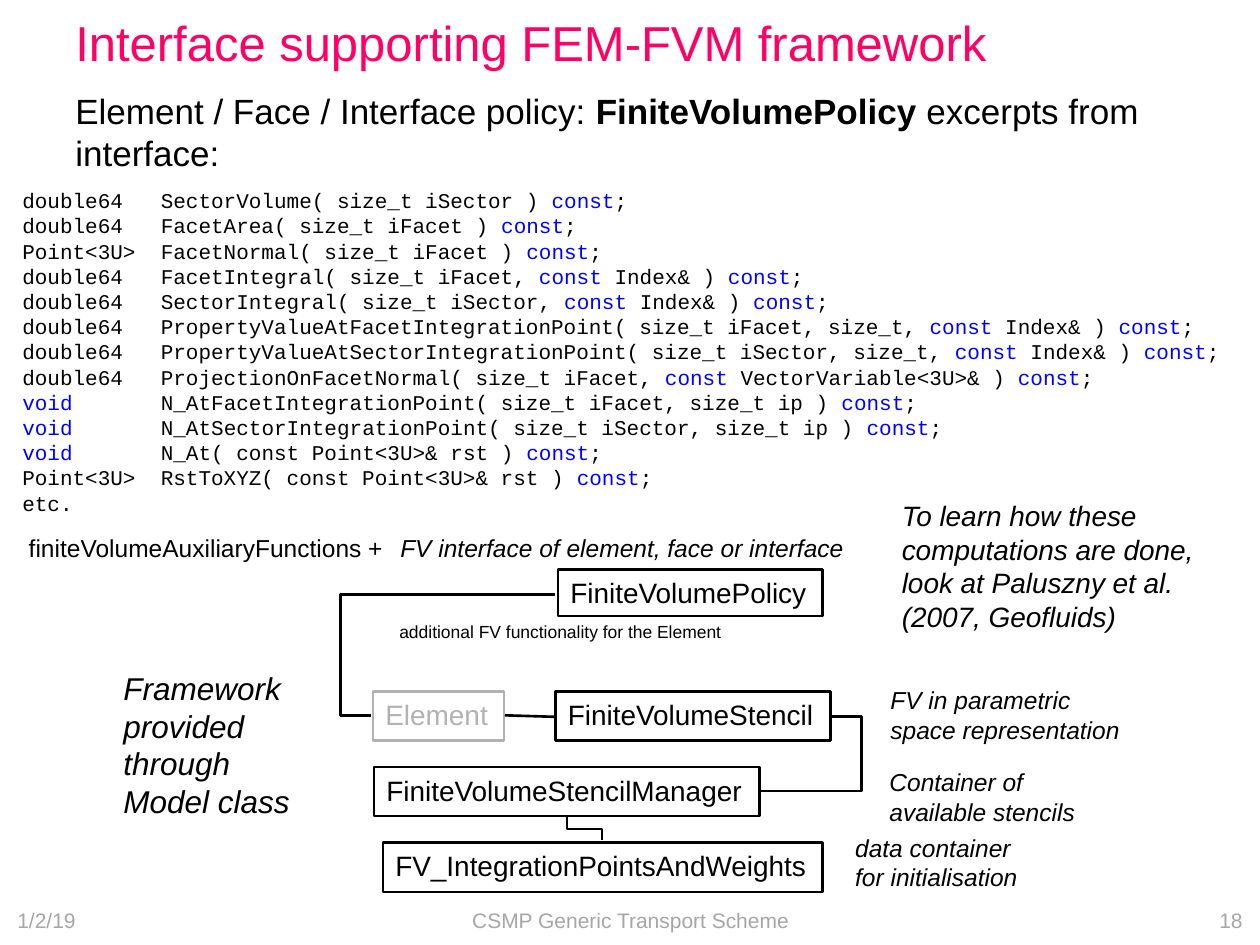
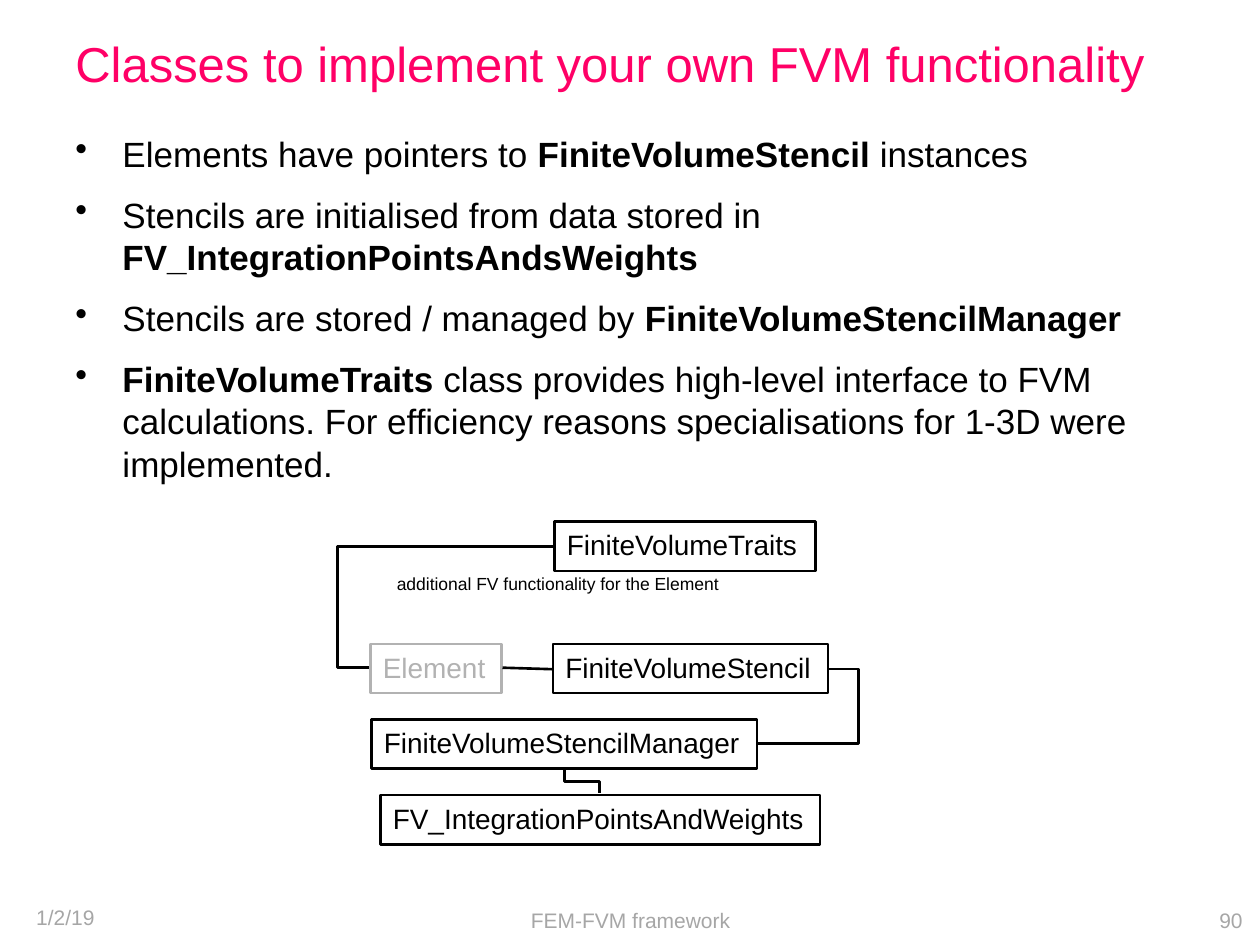
from dataclasses import dataclass

from lxml import etree
from pptx import Presentation
from pptx.dml.color import RGBColor
from pptx.enum.shapes import MSO_CONNECTOR, MSO_SHAPE
from pptx.enum.text import MSO_ANCHOR, MSO_AUTO_SIZE, PP_ALIGN
from pptx.oxml.ns import qn
from pptx.util import Cm, Pt

RECT = MSO_SHAPE.RECTANGLE
STRAIGHT, ELBOW = MSO_CONNECTOR.STRAIGHT, MSO_CONNECTOR.ELBOW
TOP, MIDDLE = MSO_ANCHOR.TOP, MSO_ANCHOR.MIDDLE
LEFT, CENTER, RIGHT = PP_ALIGN.LEFT, PP_ALIGN.CENTER, PP_ALIGN.RIGHT
FIT_SHAPE = MSO_AUTO_SIZE.SHAPE_TO_FIT_TEXT

PINK = RGBColor(0xFF, 0x00, 0x66)
BLACK = RGBColor(0x00, 0x00, 0x00)
BLUE = RGBColor(0x00, 0x00, 0xFF)
GREY = RGBColor(0xB2, 0xB2, 0xB2)
FOOTER_GREY = RGBColor(0xA6, 0xA6, 0xA6)
SANS, MONO = "Arial", "Courier New"
LINE_WIDTH = Pt(1.5)
BOX_HEIGHT = 0.99


@dataclass(frozen=True)
class Area:
    """Left, top, width and height in centimetres."""
    x: float
    y: float
    w: float
    h: float


@dataclass(frozen=True)
class Style:
    size: float
    color: RGBColor = BLACK
    font: str = SANS
    italic: bool = False
    align: PP_ALIGN = LEFT
    anchor: MSO_ANCHOR = TOP
    # Look of the text between bars
    mark_bold: bool = False
    mark_color: RGBColor = BLACK
    before: float = 0
    after: float = 0
    bullet: bool = False


@dataclass(frozen=True)
class ClassBox:
    name: str
    x: float
    y: float
    w: float
    h: float = BOX_HEIGHT
    color: RGBColor = BLACK


@dataclass(frozen=True)
class Link:
    x1: float
    y1: float
    x2: float
    y2: float
    bend: float | None = None
    vertical: bool = False


@dataclass(frozen=True)
class Note:
    text: str
    area: Area
    size: float = 14
    italic: bool = True


TITLE = Style(28, PINK, anchor=MIDDLE)
BODY = Style(20, mark_bold=True, before=3, after=8)
BULLETS = Style(20, mark_bold=True, before=3, after=8, bullet=True)
CODE = Style(12, font=MONO, mark_color=BLUE)
BULLET_INDENT = Cm(0.95)

# Class diagram, placed as on the second slide
CLASS_BOXES = [
    ClassBox("FiniteVolumeStencil", 11.15, 12.98, 5.54),
    ClassBox("FiniteVolumeStencilManager", 7.49, 14.5, 7.77),
    ClassBox("FV_IntegrationPointsAndWeights", 7.67, 16.03, 8.86),
    ClassBox("Element", 7.47, 12.98, 2.64, color=GREY),
]
LINKS = [
    Link(10.13, 13.46, 11.13, 13.49),
    Link(11.15, 11.02, 7.44, 13.46, bend=1.17),
    Link(16.71, 13.49, 15.27, 14.99, bend=-0.42),
    Link(11.38, 15.52, 12.09, 15.98, bend=0.5, vertical=True),
]
DIAGRAM_NOTE = "additional FV functionality for the Element"

INTERFACE_CODE = [
    "double64   SectorVolume( size_t iSector ) |const|;",
    "double64   FacetArea( size_t iFacet ) |const|;",
    "Point<3U>  FacetNormal( size_t iFacet ) |const|;",
    "double64   FacetIntegral( size_t iFacet, |const| Index& ) |const|;",
    "double64   SectorIntegral( size_t iSector, |const| Index& ) |const|;",
    "double64   PropertyValueAtFacetIntegrationPoint( size_t iFacet, size_t, |const| Index& ) |const|;",
    "double64   PropertyValueAtSectorIntegrationPoint( size_t iSector, size_t, |const| Index& ) |const|;",
    "double64   ProjectionOnFacetNormal( size_t iFacet, |const| VectorVariable<3U>& ) |const|;",
    "|void|       N_AtFacetIntegrationPoint( size_t iFacet, size_t ip ) |const|;",
    "|void|       N_AtSectorIntegrationPoint( size_t iSector, size_t ip ) |const|;",
    "|void|       N_At( const Point<3U>& rst ) |const|;",
    "Point<3U>  RstToXYZ( const Point<3U>& rst ) |const|;",
    "etc.",
]
SIDE_NOTES = [
    Note("To learn how these computations are done, look at Paluszny et al. "
         "(2007, Geofluids)", Area(17.93, 9.93, 6.93, 3), 16),
    Note("Framework provided through Model class", Area(2.24, 13.36, 4.09, 3.33), 18),
    Note("data container for initialisation", Area(16.99, 16.66, 4.09, 1.45)),
    Note("Container of available stencils", Area(17.68, 15.34, 5.18, 1.45)),
    Note("FV in parametric space representation", Area(17.7, 13.69, 5.18, 1.45)),
    Note("FV interface of element, face or interface", Area(7.82, 10.62, 10, 0.86)),
    Note("finiteVolumeAuxiliaryFunctions +", Area(0.33, 10.62, 10, 0.86), italic=False),
]
CLASS_POINTS = [
    "Elements have pointers to |FiniteVolumeStencil| instances",
    "Stencils are initialised from data stored in |FV_IntegrationPointsAndsWeights|",
    "Stencils are stored / managed by |FiniteVolumeStencilManager|",
    "|FiniteVolumeTraits| class provides high-level interface to FVM calculations. "
    "For efficiency reasons specialisations for 1-3D were implemented.",
]


def add_bullet(p) -> None:
    pPr = p._p.get_or_add_pPr()
    pPr.set("marL", str(BULLET_INDENT))
    pPr.set("indent", str(-BULLET_INDENT))
    etree.SubElement(pPr, qn("a:buChar")).set("char", "•")


def fill_text(tf, lines: list[str], style: Style) -> None:
    """Write the lines; bars switch the marked look on and off."""
    tf.vertical_anchor = style.anchor
    for i, line in enumerate(lines):
        p = tf.add_paragraph() if i else tf.paragraphs[0]
        p.alignment = style.align
        p.space_before = Pt(style.before if i else 0)
        p.space_after = Pt(style.after)
        if style.bullet:
            add_bullet(p)
        for j, part in enumerate(line.split("|")):
            if not part:
                continue
            marked = j % 2 == 1
            r = p.add_run()
            r.text = part
            r.font.name = style.font
            r.font.size = Pt(style.size)
            r.font.italic = style.italic
            r.font.bold = marked and style.mark_bold
            r.font.color.rgb = style.mark_color if marked else style.color


def add_text(s, area: Area, lines: list[str], style: Style) -> None:
    sp = s.shapes.add_textbox(Cm(area.x), Cm(area.y), Cm(area.w), Cm(area.h))
    sp.text_frame.word_wrap = True
    fill_text(sp.text_frame, lines, style)


def add_class_box(s, box: ClassBox, dx: float, dy: float) -> None:
    sp = s.shapes.add_shape(RECT, Cm(box.x + dx), Cm(box.y + dy), Cm(box.w), Cm(box.h))
    sp.shadow.inherit = False
    sp.fill.background()
    sp.line.color.rgb = box.color
    sp.line.width = LINE_WIDTH
    tf = sp.text_frame
    tf.word_wrap = False
    tf.auto_size = FIT_SHAPE
    fill_text(tf, [box.name], Style(16, box.color))


def add_link(s, link: Link, dx: float, dy: float) -> None:
    x1, y1, x2, y2 = link.x1 + dx, link.y1 + dy, link.x2 + dx, link.y2 + dy
    if link.vertical:
        # Ends of the same link before a turn of 270 degrees about its centre
        cx, cy = (x1 + x2) / 2, (y1 + y2) / 2
        half_w, half_h = (y2 - y1) / 2, (x2 - x1) / 2
        x1, y1, x2, y2 = cx + half_w, cy - half_h, cx - half_w, cy + half_h
    kind = STRAIGHT if link.bend is None else ELBOW
    conn = s.shapes.add_connector(kind, Cm(x1), Cm(y1), Cm(x2), Cm(y2))
    conn.line.color.rgb = BLACK
    conn.line.width = LINE_WIDTH
    spPr = conn._element.spPr
    etree.SubElement(spPr, qn("a:effectLst"))
    if link.vertical:
        spPr.find(qn("a:xfrm")).set("rot", str(270 * 60000))
    if link.bend is not None:
        guides = spPr.find(qn("a:prstGeom")).find(qn("a:avLst"))
        gd = etree.SubElement(guides, qn("a:gd"))
        gd.set("name", "adj1")
        gd.set("fmla", f"val {round(link.bend * 100000)}")


def add_diagram(s, top_box: ClassBox, dx: float = 0, dy: float = 0) -> None:
    for box in [*CLASS_BOXES, top_box]:
        add_class_box(s, box, dx, dy)
    add_text(s, Area(7.75 + dx, 11.43 + dy, 6.99, 0.69), [DIAGRAM_NOTE], Style(10))
    for link in LINKS:
        add_link(s, link, dx, dy)


def add_slide(prs, title: str, title_area: Area, topic: str, number: str, date_area: Area):
    """Start a slide with its title and footer."""
    s = prs.slides.add_slide(prs.slide_layouts[6])
    add_text(s, title_area, [title], TITLE)
    for text, area, align in [
        ("1/2/19", date_area, LEFT),
        (topic, Area(8.69, 18.03, 8.05, 1.02), CENTER),
        (number, Area(19.38, 18.03, 5.92, 1.02), RIGHT),
    ]:
        add_text(s, area, [text], Style(12, FOOTER_GREY, align=align, anchor=MIDDLE))
    return s


def add_interface_slide(prs) -> None:
    s = add_slide(prs, "Interface supporting FEM-FVM framework", Area(1.27, 0.23, 22.86, 1.22),
                  "CSMP Generic Transport Scheme", "18", Area(0.1, 18.03, 5.92, 1.02))
    add_text(s, Area(1.27, 1.68, 23.37, 2.46),
             ["Element / Face / Interface policy: |FiniteVolumePolicy| excerpts from interface:"],
             BODY)
    add_diagram(s, ClassBox("FiniteVolumePolicy", 11.2, 10.52, 5.33, 0.94), 0.05, 0.96)
    add_text(s, Area(0.2, 3.66, 25.17, 6.93), INTERFACE_CODE, CODE)
    for note in SIDE_NOTES:
        add_text(s, note.area, [note.text], Style(note.size, italic=note.italic))


def add_classes_slide(prs) -> None:
    s = add_slide(prs, "Classes to implement your own FVM functionality",
                  Area(1.27, 0, 22.86, 2.54), "FEM-FVM framework", "90",
                  Area(0.48, 17.86, 8, 1.27))
    add_text(s, Area(1.27, 2.54, 22.86, 14.48), CLASS_POINTS, BULLETS)
    add_diagram(s, ClassBox("FiniteVolumeTraits", 11.18, 10.52, 5.26))


def main() -> None:
    prs = Presentation()
    prs.slide_width, prs.slide_height = Cm(25.4), Cm(19.05)
    add_interface_slide(prs)
    add_classes_slide(prs)
    prs.save("out.pptx")


if __name__ == "__main__":
    main()
